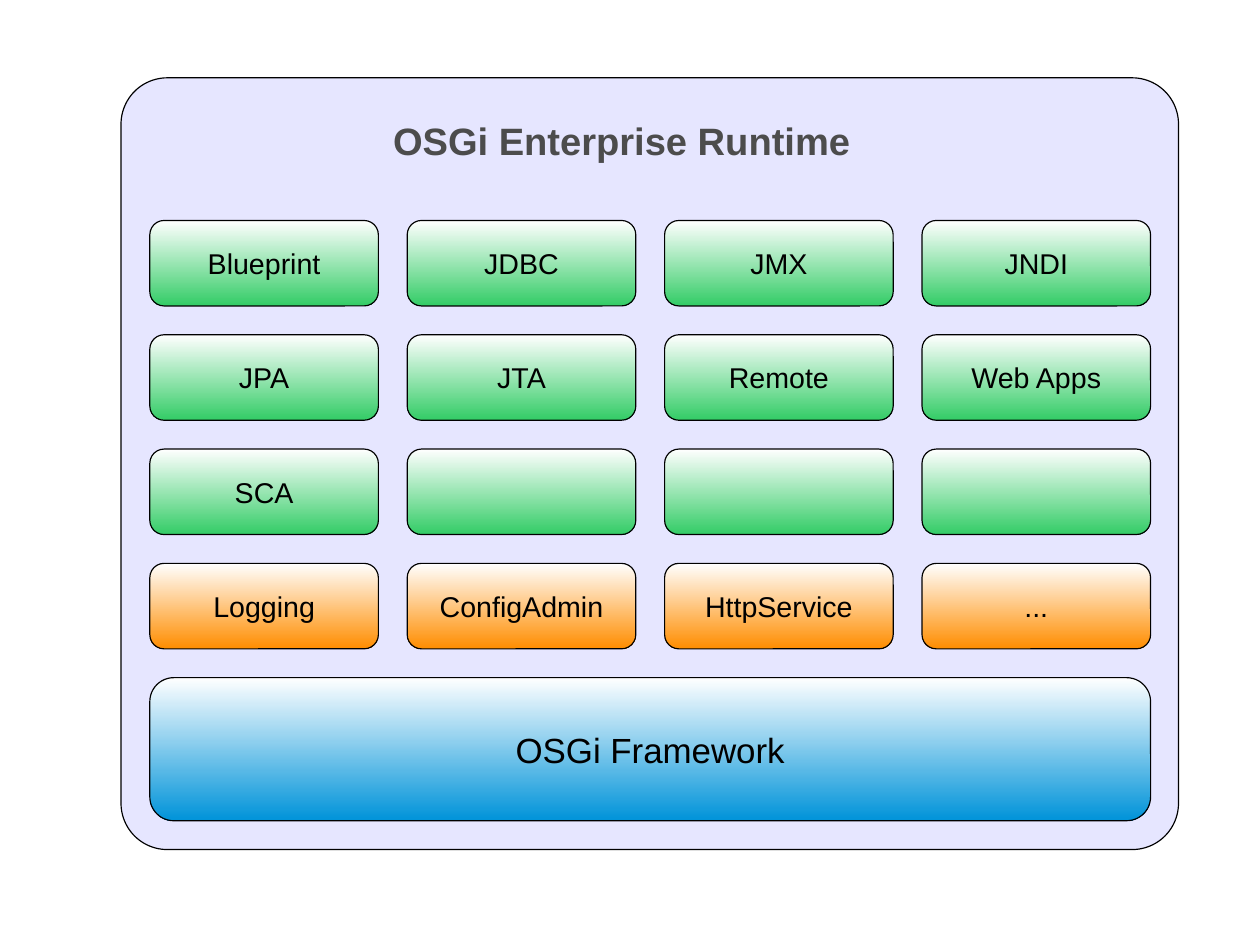
from pptx import Presentation
from pptx.dml.color import RGBColor
from pptx.enum.shapes import MSO_SHAPE
from pptx.enum.text import MSO_ANCHOR, MSO_AUTO_SIZE, PP_ALIGN
from pptx.util import Cm, Pt

GREEN, ORANGE, BLUE = "33CC66", "FF8D00", "0093D9"
SERVICE_ROWS = [
    (GREEN, ["Blueprint", "JDBC", "JMX", "JNDI"]),
    (GREEN, ["JPA", "JTA", "Remote", "Web Apps"]),
    (GREEN, ["SCA", "", "", ""]),
    (ORANGE, ["Logging", "ConfigAdmin", "HttpService", "..."]),
]
LEFT, TOP = 3.33, 4.9
TILE_WIDTH, TILE_HEIGHT = 5.08, 1.9
GAP = 0.64
COLUMN_STEP, ROW_STEP = TILE_WIDTH + GAP, TILE_HEIGHT + GAP


def color(value):
    return RGBColor.from_string(value)


class RuntimeDiagram:
    font = "Arial"
    ink = "000000"
    heading_ink = "4C4C4C"
    highlight = "FFFFFF"

    def __init__(self, page):
        self.page = page

    def label(self, frame, text, size, ink, bold=False):
        frame.word_wrap = True
        para = frame.paragraphs[0]
        para.alignment = PP_ALIGN.CENTER
        span = para.add_run()
        span.text = text
        span.font.name = self.font
        span.font.size = Pt(size)
        span.font.bold = bold
        span.font.color.rgb = color(ink)

    def rounded_box(self, left, top, width, height, corner):
        box = self.page.shapes.add_shape(
            MSO_SHAPE.ROUNDED_RECTANGLE, Cm(left), Cm(top), Cm(width), Cm(height))
        box.adjustments[0] = corner
        box.shadow.inherit = False
        box.line.color.rgb = color(self.ink)
        box.line.width = Pt(0)
        return box

    def panel(self, left, top, width, height, fill):
        box = self.rounded_box(left, top, width, height, 0.06)
        box.fill.solid()
        box.fill.fore_color.rgb = color(fill)

    def tile(self, left, top, width, height, shade, text, size=18):
        box = self.rounded_box(left, top, width, height, 0.167)
        box.fill.gradient()
        box.fill.gradient_angle = 270
        for stop, value in zip(box.fill.gradient_stops, (self.highlight, shade)):
            stop.color.rgb = color(value)
        if text:
            box.text_frame.vertical_anchor = MSO_ANCHOR.MIDDLE
            self.label(box.text_frame, text, size, self.ink)

    def title(self, left, top, width, height, text):
        box = self.page.shapes.title
        box.left, box.top, box.width, box.height = Cm(left), Cm(top), Cm(width), Cm(height)
        frame = box.text_frame
        frame.vertical_anchor = MSO_ANCHOR.TOP
        frame.auto_size = MSO_AUTO_SIZE.NONE
        self.label(frame, text, 24, self.heading_ink, bold=True)
        self.page.shapes._spTree.append(box._element)


def main():
    deck = Presentation()
    deck.slide_width, deck.slide_height = Cm(28), Cm(21)
    page = deck.slides.add_slide(deck.slide_layouts[5])
    diagram = RuntimeDiagram(page)

    diagram.panel(2.69, 1.73, 23.5, 17.15, "E6E6FF")
    diagram.title(8.1, 2.49, 11.43, 1.19, "OSGi Enterprise Runtime")
    for row, (shade, services) in enumerate(SERVICE_ROWS):
        for column, service in enumerate(services):
            diagram.tile(LEFT + column * COLUMN_STEP, TOP + row * ROW_STEP,
                         TILE_WIDTH, TILE_HEIGHT, shade, service)
    diagram.tile(LEFT, TOP + len(SERVICE_ROWS) * ROW_STEP,
                 3 * COLUMN_STEP + TILE_WIDTH, 3.18, BLUE, "OSGi Framework", 22)

    deck.save("out.pptx")


if __name__ == "__main__":
    main()
